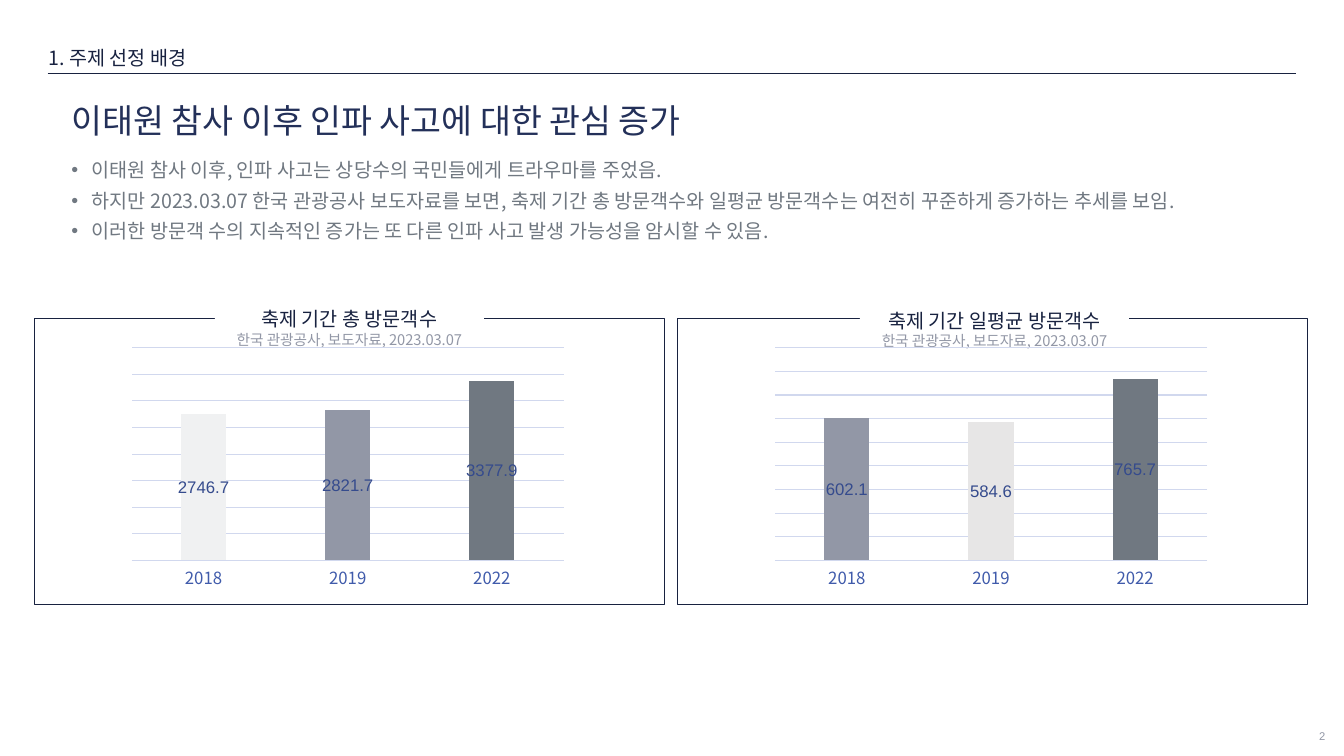
from lxml.etree import SubElement
from pptx import Presentation
from pptx.chart.data import CategoryChartData
from pptx.dml.color import RGBColor
from pptx.enum.chart import XL_CHART_TYPE as ChartType, XL_LABEL_POSITION as LabelPosition
from pptx.enum.chart import XL_TICK_LABEL_POSITION as TickLabel, XL_TICK_MARK as TickMark
from pptx.enum.shapes import MSO_CONNECTOR as Connector, MSO_SHAPE as Shape
from pptx.enum.text import MSO_ANCHOR as Anchor, MSO_AUTO_SIZE as AutoSize, PP_ALIGN as Align
from pptx.oxml.ns import qn
from pptx.util import Pt

KOREAN, LATIN = "Noto Sans CJK KR", "Arial"
NAVY, TITLE_BLUE, GRAY, SLATE = "182240", "233059", "9297A6", "707881"
AXIS_BLUE, LABEL_BLUE, GRID = "405BAB", "354B8D", "D1D8EE"

SECTION = "1. 주제 선정 배경"
TITLE = "이태원 참사 이후 인파 사고에 대한 관심 증가"
POINTS = [
    "이태원 참사 이후, 인파 사고는 상당수의 국민들에게 트라우마를 주었음.",
    "하지만 2023.03.07 한국 관광공사 보도자료를 보면, 축제 기간 총 방문객수와 "
    "일평균 방문객수는 여전히 꾸준하게 증가하는 추세를 보임.",
    "이러한 방문객 수의 지속적인 증가는 또 다른 인파 사고 발생 가능성을 암시할 수 있음.",
]
SOURCE = "한국 관광공사, 보도자료, 2023.03.07"
YEARS = ["2018", "2019", "2022"]


def color(hex_string):
    """Turn a hex string into a colour."""
    return RGBColor.from_string(hex_string)


def box(left, top, width, height):
    """Turn a box in points into lengths."""
    return Pt(left), Pt(top), Pt(width), Pt(height)


def set_font(font, size, hex_string, name=KOREAN):
    """Set size, colour and typeface of a font."""
    font.size, font.name = Pt(size), name
    font.color.rgb = color(hex_string)


def set_line(line, hex_string, width):
    """Set colour and width of a line."""
    line.color.rgb = color(hex_string)
    line.width = Pt(width)


def write(shape, lines, align=Align.LEFT, spacing=None, bullet=False,
          anchor=Anchor.TOP, grow=True, font=KOREAN):
    """Fill a shape with lines of (text, size, colour)."""
    frame = shape.text_frame
    frame.word_wrap = True
    frame.vertical_anchor = anchor
    frame.auto_size = AutoSize.SHAPE_TO_FIT_TEXT if grow else AutoSize.NONE
    frame.text = "\n".join(text for text, _, _ in lines)
    for paragraph, (_, size, hex_string) in zip(frame.paragraphs, lines):
        paragraph.alignment = align
        paragraph.line_spacing = spacing
        properties = paragraph._p.get_or_add_pPr()
        if bullet:
            properties.set("marL", str(Pt(14.4)))
            properties.set("indent", str(-Pt(14.4)))
            SubElement(properties, qn("a:buFont"), typeface=LATIN)
            SubElement(properties, qn("a:buChar"), char="•")
        set_font(paragraph.font, size, hex_string, font)
        SubElement(properties.find(qn("a:defRPr")), qn("a:ea"), typeface=font)


def add_header(slide, left, top, width):
    """Add the section name and the rule under it."""
    section = slide.shapes.add_textbox(*box(left - 6.6, top, 189.4, 24.5))
    write(section, [(SECTION, 14, NAVY)])
    rule_top = Pt(top + 23)
    rule = slide.shapes.add_connector(
        Connector.STRAIGHT, Pt(left), rule_top, Pt(left + width), rule_top)
    set_line(rule.line, NAVY, 0.5)
    SubElement(rule._element.spPr, qn("a:effectLst"))


def add_message(slide, left, top, width):
    """Add the title and the bullet points below it."""
    title = slide.shapes.add_textbox(*box(left, top, 828, 41.8))
    write(title, [(TITLE, 24, TITLE_BLUE)], spacing=0.9, anchor=Anchor.BOTTOM, grow=False)
    body = slide.shapes.add_textbox(*box(left, top + 41.8, width, 71.3))
    write(body, [(point, 14, SLATE) for point in POINTS], spacing=1.3, bullet=True)


def add_column_chart(shapes, left, top, values, colors, maximum, step):
    """Add a column chart with one colour for each year."""
    data = CategoryChartData()
    data.categories = YEARS
    data.add_series("Series 1", values)
    chart = shapes.add_chart(
        ChartType.COLUMN_STACKED, *box(left, top, 321.8, 180), data).chart
    chart.has_legend = chart.has_title = False
    set_font(chart.font, 10, NAVY, LATIN)

    value_axis = chart.value_axis
    value_axis.visible = False
    value_axis.minimum_scale, value_axis.maximum_scale = 0, maximum
    value_axis.major_unit = step
    value_axis.has_major_gridlines = True
    set_line(value_axis.major_gridlines.format.line, GRID, 0.75)

    year_axis = chart.category_axis
    year_axis.major_tick_mark = year_axis.minor_tick_mark = TickMark.NONE
    year_axis.tick_label_position = TickLabel.NEXT_TO_AXIS
    set_line(year_axis.format.line, GRID, 0.75)
    set_font(year_axis.tick_labels.font, 12, AXIS_BLUE)

    plot = chart.plots[0]
    plot.gap_width, plot.overlap, plot.vary_by_categories = 219, 100, False
    series = plot.series[0]
    series.format.fill.solid()
    series.format.fill.fore_color.rgb = color(NAVY)
    for index, hex_string in enumerate(colors):
        fill = series.points[index].format.fill
        fill.solid()
        fill.fore_color.rgb = color(hex_string)
    labels = series.data_labels
    labels.show_value = True
    labels.position = LabelPosition.CENTER
    set_font(labels.font, 12, LABEL_BLUE, LATIN)


def add_panel(slide, left, top, caption_offset, heading, values, colors, maximum, step):
    """Add a framed chart whose caption interrupts the frame."""
    shapes = slide.shapes.add_group_shape().shapes
    frame = shapes.add_shape(Shape.RECTANGLE, *box(left, top, 450, 204.5))
    frame.shadow.inherit = False
    frame.fill.background()
    set_line(frame.line, NAVY, 1)

    across, down = caption_offset
    caption = shapes.add_shape(
        Shape.RECTANGLE, *box(left + across, top + down, 192.2, 36.7))
    caption.shadow.inherit = False
    caption.fill.solid()
    caption.fill.fore_color.rgb = color("FFFFFF")
    caption.line.fill.background()
    write(caption, [(heading, 14, NAVY), (SOURCE, 10.5, GRAY)], align=Align.CENTER)

    add_column_chart(shapes, left + 63, top + 17.3, values, colors, maximum, step)


def add_page_number(slide, left, top):
    """Add the page number."""
    number = slide.shapes.add_textbox(*box(left, top, 31, 28.8))
    write(number, [("2", 8, GRAY)], align=Align.CENTER, anchor=Anchor.MIDDLE,
          grow=False, font=LATIN)


def main():
    """Build the slide and save it."""
    presentation = Presentation()
    presentation.slide_width, presentation.slide_height = Pt(960), Pt(540)
    slide = presentation.slides.add_slide(presentation.slide_layouts[6])
    add_header(slide, 34, 29.5, 892)
    add_message(slide, 44, 62.6, 885.6)
    add_panel(slide, 24.5, 227.5, (129, -11.5), "축제 기간 총 방문객수",
              [2746.7, 2821.7, 3377.9], ["F0F1F2", GRAY, SLATE], 4000, 500)
    add_panel(slide, 484, 227.5, (130.3, -10.5), "축제 기간 일평균 방문객수",
              [602.1, 584.6, 765.7], [GRAY, "E7E6E6", SLATE], 900, 100)
    add_page_number(slide, 929, 511.2)
    presentation.save("out.pptx")


if __name__ == "__main__":
    main()
